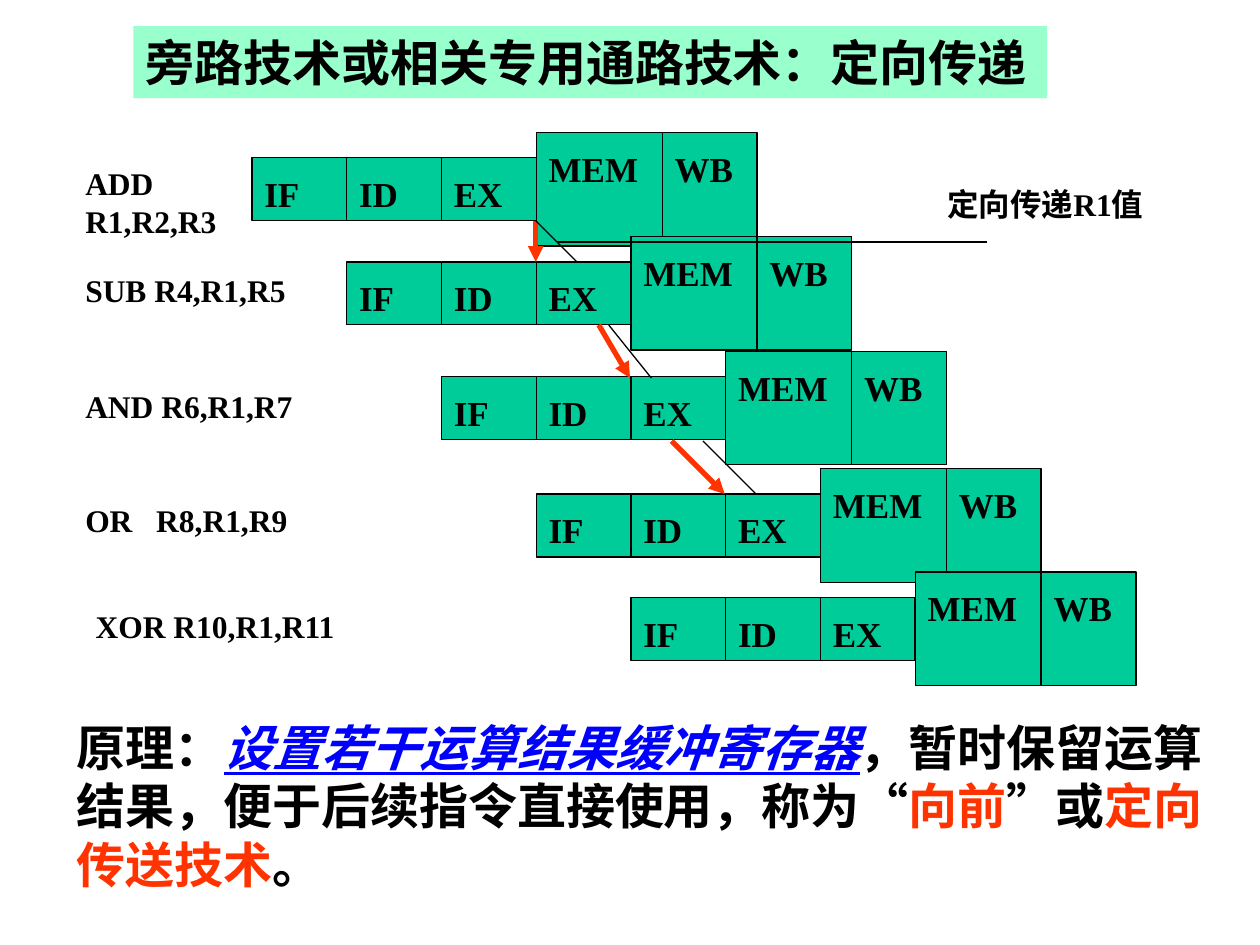
from lxml.etree import SubElement
from pptx import Presentation
from pptx.dml.color import RGBColor
from pptx.enum.shapes import MSO_CONNECTOR, MSO_SHAPE
from pptx.enum.text import MSO_ANCHOR, PP_ALIGN
from pptx.oxml.ns import qn
from pptx.util import Cm, Pt

SERIF = "Times New Roman"
CJK = "Noto Sans CJK SC"
BLACK, RED, BLUE, GREEN, MINT = "000000", "FF3300", "0000FF", "00CC99", "99FFCC"

STAGE_LEFT, STAGE_WIDTH, MEM_WIDTH = 5.08, 1.91, 2.54
STAGE_HEIGHT, TALL_HEIGHT, TALL_RISE = 1.27, 2.29, 0.51
ROW_TOPS = [3.18, 5.28, 7.59, 9.96, 12.04]
STAGES = [
    ("IF", STAGE_WIDTH, False),
    ("ID", STAGE_WIDTH, False),
    ("EX", STAGE_WIDTH, False),
    ("MEM", MEM_WIDTH, True),
    ("WB", STAGE_WIDTH, True),
]
INSTRUCTIONS = [
    ("ADD R1,R2,R3", 1.47, 3.18, 4.65),
    ("SUB R4,R1,R5", 1.47, 5.33, 5.2),
    ("AND R6,R1,R7", 1.47, 7.67, 5.61),
    ("OR\tR8,R1,R9", 1.47, 9.98, 5.2),
    ("XOR R10,R1,R11", 1.68, 12.12, 5.8),
]
FORWARDING_ARROWS = [
    (10.8, 4.45, 10.8, 5.28),
    (12.07, 6.55, 12.7, 7.62),
    (13.54, 8.89, 14.61, 9.96),
]
POINTER_LINES = [
    (10.8, 4.45, 11.63, 5.28),
    (12.27, 6.55, 13.13, 7.62),
    (14.17, 8.89, 15.24, 9.96),
    (11.23, 4.88, 19.89, 4.88),
]
PRINCIPLE = [
    ("原理：", BLACK, SERIF, False),
    ("设置若干运算结果缓冲寄存器", BLUE, CJK, True),
    ("，暂时保留运算结果，便于后续指令直接使用，称为“", BLACK, CJK, False),
    ("向前", RED, CJK, False),
    ("”或", BLACK, CJK, False),
    ("定向传送技术", RED, CJK, False),
    ("。", BLACK, SERIF, False),
]


def color(value):
    return RGBColor.from_string(value)


def add_run(paragraph, text, size, fill=BLACK, name=SERIF, emphasis=False):
    run = paragraph.add_run()
    run.text = text
    font = run.font
    font.size = Pt(size)
    font.bold = True
    font.name = name
    font.color.rgb = color(fill)
    if emphasis:
        font.italic = True
        font.underline = True
    SubElement(run._r.get_or_add_rPr(), qn("a:ea"), typeface=CJK)


def add_box(slide, left, top, width, height, fill, outline=None):
    shape = slide.shapes.add_shape(
        MSO_SHAPE.RECTANGLE, Cm(left), Cm(top), Cm(width), Cm(height)
    )
    shape.shadow.inherit = False
    shape.fill.solid()
    shape.fill.fore_color.rgb = color(fill)
    if outline:
        shape.line.color.rgb = color(outline)
        shape.line.width = Pt(0.75)
    else:
        shape.line.fill.background()
    frame = shape.text_frame
    frame.vertical_anchor = MSO_ANCHOR.TOP
    paragraph = frame.paragraphs[0]
    paragraph.alignment = PP_ALIGN.LEFT
    return frame, paragraph


def add_text(slide, left, top, width, height):
    shape = slide.shapes.add_textbox(Cm(left), Cm(top), Cm(width), Cm(height))
    shape.text_frame.word_wrap = True
    return shape.text_frame.paragraphs[0]


def add_line(slide, points, stroke, width, arrow=False):
    connector = slide.shapes.add_connector(
        MSO_CONNECTOR.STRAIGHT, *[Cm(value) for value in points]
    )
    connector.line.color.rgb = color(stroke)
    connector.line.width = Pt(width)
    if arrow:
        SubElement(connector.line._get_or_add_ln(), qn("a:tailEnd"), type="triangle")
    SubElement(connector._element.spPr, qn("a:effectLst"))


def add_pipeline(slide, left, top):
    for name, width, tall in STAGES:
        box_top = top - TALL_RISE if tall else top
        height = TALL_HEIGHT if tall else STAGE_HEIGHT
        frame, paragraph = add_box(slide, left, box_top, width, height, GREEN, BLACK)
        frame.margin_top = Cm(0.3)
        frame.word_wrap = False
        add_run(paragraph, name, 20)
        left += width


def add_instruction(slide, text, left, top, width):
    paragraph = add_text(slide, left, top, width, 1.02)
    if "\t" in text:
        tabs = SubElement(paragraph._p.get_or_add_pPr(), qn("a:tabLst"))
        SubElement(tabs, qn("a:tab"), pos=str(Cm(1.43)), algn="l")
    add_run(paragraph, text, 18)


def add_title(slide):
    frame, paragraph = add_box(slide, 2.69, 0.53, 18.42, 1.45, MINT)
    frame.word_wrap = True
    add_run(paragraph, "旁路技术或相关专用通路技术：", 28, name="Arial")
    add_run(paragraph, "定向传递", 28)


def add_principle(slide):
    paragraph = add_text(slide, 1.3, 14.33, 23.37, 3.81)
    paragraph.space_before = Pt(5.2)
    for text, fill, name, emphasis in PRINCIPLE:
        add_run(paragraph, text, 28, fill, name, emphasis)


def main():
    presentation = Presentation()
    presentation.slide_width = Cm(25.4)
    presentation.slide_height = Cm(19.05)
    slide = presentation.slides.add_slide(presentation.slide_layouts[6])
    for index, top in enumerate(ROW_TOPS):
        add_pipeline(slide, STAGE_LEFT + index * STAGE_WIDTH, top)
    for points in FORWARDING_ARROWS:
        add_line(slide, points, RED, 3, arrow=True)
    for points in POINTER_LINES:
        add_line(slide, points, BLACK, 0.75)
    for instruction in INSTRUCTIONS:
        add_instruction(slide, *instruction)
    add_run(add_text(slide, 18.85, 3.61, 5.28, 1.02), "定向传递R1值", 18)
    add_title(slide)
    add_principle(slide)
    presentation.save("out.pptx")


if __name__ == "__main__":
    main()
